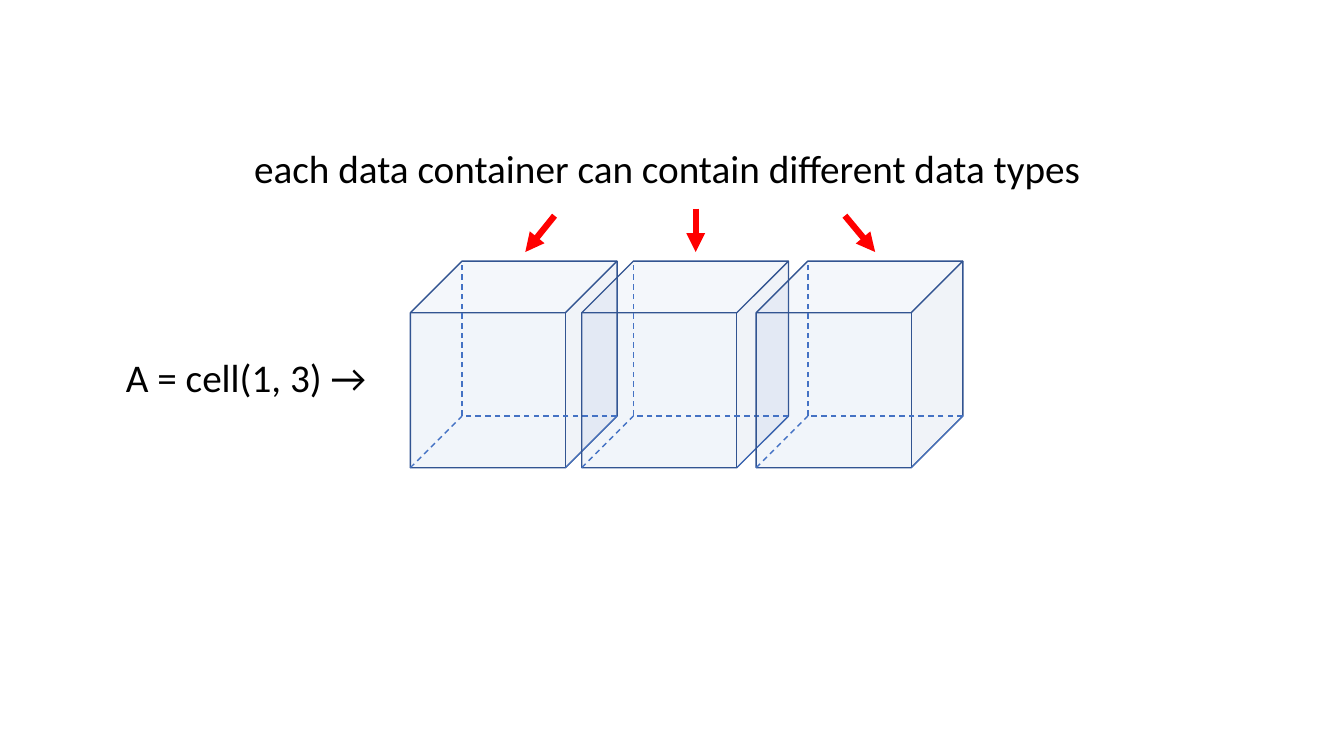
from dataclasses import dataclass

from lxml import etree
from pptx import Presentation
from pptx.dml.color import RGBColor
from pptx.enum.dml import MSO_LINE_DASH_STYLE
from pptx.enum.shapes import MSO_CONNECTOR_TYPE, MSO_SHAPE
from pptx.enum.text import MSO_ANCHOR, MSO_AUTO_SIZE, PP_ALIGN
from pptx.oxml.ns import qn
from pptx.shapes.autoshape import Shape
from pptx.shapes.connector import Connector
from pptx.slide import Slide
from pptx.util import Inches, Pt

DASH = MSO_LINE_DASH_STYLE.DASH
STRAIGHT = MSO_CONNECTOR_TYPE.STRAIGHT
CUBE = MSO_SHAPE.CUBE
TOP = MSO_ANCHOR.TOP
NO_AUTO_SIZE = MSO_AUTO_SIZE.NONE
LEFT = PP_ALIGN.LEFT

BLUE = "4472C4"
DARK_BLUE = "325491"
RED = "FF0000"
BLACK = "000000"

CUBE_TOP = 2.59
CUBE_SIZE = 2.05
CUBE_DEPTH = CUBE_SIZE / 4
FILL_OPACITY = 7


@dataclass(frozen=True)
class Segment:
    start: tuple[float, float]
    end: tuple[float, float]
    color: str = BLUE
    width: float = 1
    dashed: bool = False
    arrow: bool = False


@dataclass(frozen=True)
class Label:
    text: str
    left: float
    top: float
    width: float
    height: float = 0.57


CUBE_LEFTS = [4.07, 5.77, 7.5]
ARROWS = [
    Segment(start, end, RED, 4.5, arrow=True)
    for start, end in [
        ((5.5, 2.14), (5.21, 2.5)),
        ((6.9, 2.07), (6.9, 2.5)),
        ((8.38, 2.14), (8.68, 2.5)),
    ]
]
HEADLINE = Label("each data container can contain different data types", 2.42, 1.38, 8.49)
CELL_CALL = Label("A = cell(1, 3) →", 1.15, 3.46, 2.65)


def rgb(color: str) -> RGBColor:
    return RGBColor.from_string(color)


def draw_segment(slide: Slide, segment: Segment) -> Connector:
    points = [Inches(value) for value in (*segment.start, *segment.end)]
    connector = slide.shapes.add_connector(STRAIGHT, *points)
    connector.line.color.rgb = rgb(segment.color)
    connector.line.width = Pt(segment.width)
    if segment.dashed:
        connector.line.dash_style = DASH
    if segment.arrow:
        line = connector.line._get_or_add_ln()
        etree.SubElement(line, qn("a:tailEnd"), type="triangle")
    etree.SubElement(connector._element.spPr, qn("a:effectLst"))
    return connector


def draw_cube(slide: Slide, left: float) -> None:
    cube = slide.shapes.add_shape(
        CUBE, Inches(left), Inches(CUBE_TOP), Inches(CUBE_SIZE), Inches(CUBE_SIZE)
    )
    cube.adjustments[0] = CUBE_DEPTH / CUBE_SIZE
    cube.shadow.inherit = False
    cube.fill.solid()
    cube.fill.fore_color.rgb = rgb(BLUE)
    fill_color = cube._element.spPr.find(qn("a:solidFill"))[0]
    etree.SubElement(fill_color, qn("a:alpha"), val=str(FILL_OPACITY * 1000))
    cube.line.color.rgb = rgb(DARK_BLUE)
    cube.line.width = Pt(1)

    right, bottom = left + CUBE_SIZE, CUBE_TOP + CUBE_SIZE
    back_left, back_bottom = left + CUBE_DEPTH, bottom - CUBE_DEPTH
    back_corner = (back_left, back_bottom)
    back_right_corner = (right, back_bottom)
    edges = [
        Segment(back_right_corner, back_corner, dashed=True),
        Segment((right - CUBE_DEPTH, bottom), back_right_corner, width=0.5),
        Segment((left, bottom), back_corner, dashed=True),
        Segment(back_corner, (back_left, CUBE_TOP), dashed=True),
    ]
    for edge in edges:
        draw_segment(slide, edge)


def write_label(shape: Shape, label: Label) -> None:
    shape.left, shape.top = Inches(label.left), Inches(label.top)
    shape.width, shape.height = Inches(label.width), Inches(label.height)
    frame = shape.text_frame
    frame.text = label.text
    frame.word_wrap = False
    frame.auto_size = NO_AUTO_SIZE
    frame.vertical_anchor = TOP
    paragraph = frame.paragraphs[0]
    paragraph.alignment = LEFT
    paragraph.font.name = "Calibri"
    paragraph.font.size = Pt(28)
    paragraph.font.color.rgb = rgb(BLACK)


def main() -> None:
    presentation = Presentation()
    presentation.slide_width = Inches(13.33)
    presentation.slide_height = Inches(7.5)
    slide = presentation.slides.add_slide(presentation.slide_layouts.get_by_name("Title Only"))
    write_label(slide.shapes.title, HEADLINE)
    for left in CUBE_LEFTS:
        draw_cube(slide, left)
    for arrow in ARROWS:
        draw_segment(slide, arrow)
    write_label(slide.shapes.add_textbox(0, 0, 0, 0), CELL_CALL)
    presentation.save("out.pptx")


if __name__ == "__main__":
    main()
